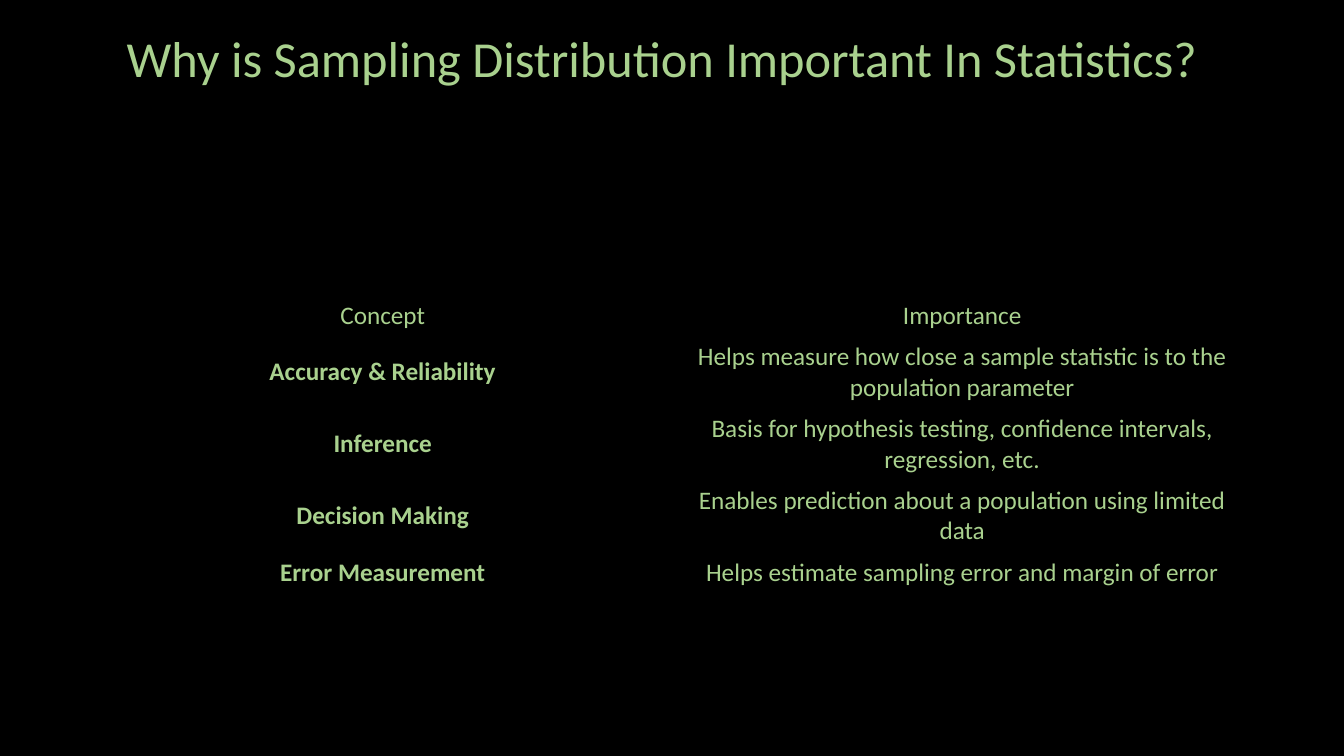
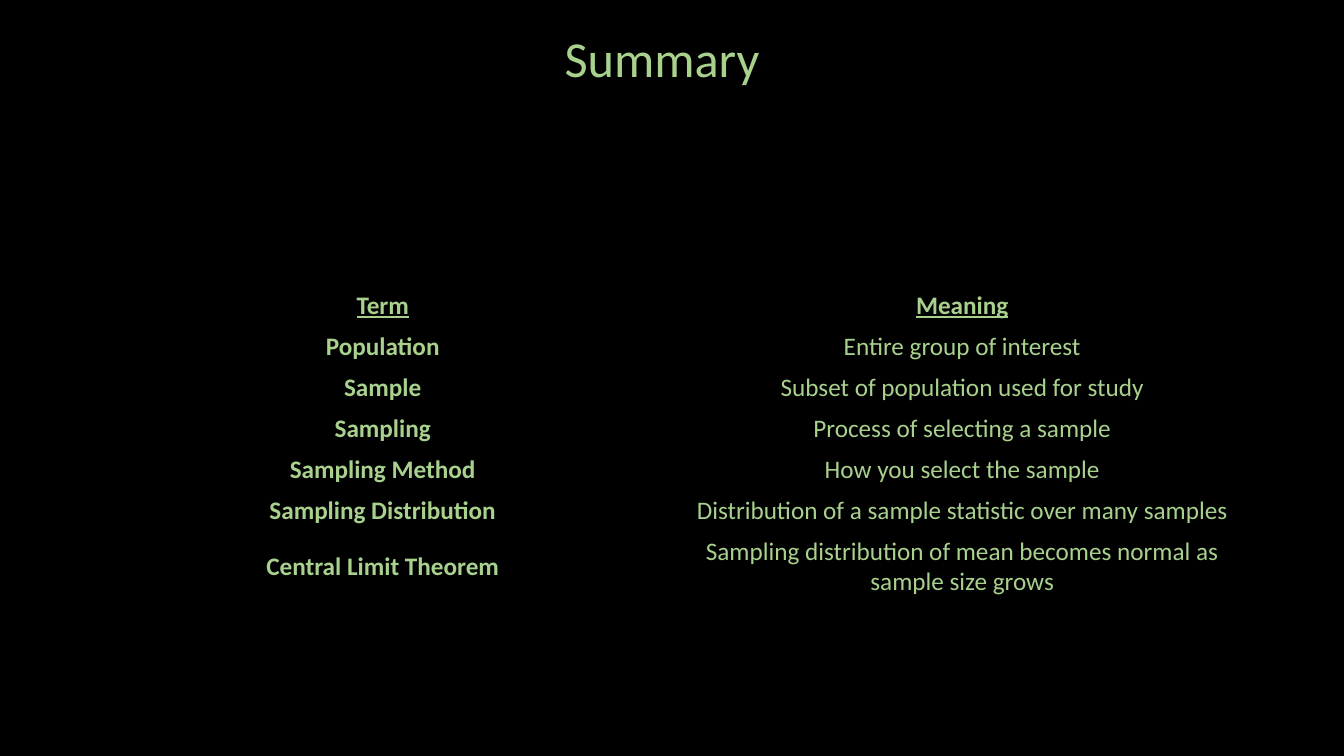
from pptx import Presentation
from pptx.dml.color import RGBColor
from pptx.enum.text import MSO_ANCHOR, PP_ALIGN
from pptx.oxml.ns import qn
from pptx.util import Pt

CENTER = PP_ALIGN.CENTER
MIDDLE = MSO_ANCHOR.MIDDLE
BLACK, GREEN = "000000", "A9D18E"
FONT = "Calibri"
NO_STYLE_NO_GRID = "{2D5ABB26-0587-4C30-8999-92F81FD0307C}"

# Layout in px
SCALE = 914400 / 100.8
PAGE_WIDTH, PAGE_HEIGHT = 1344, 756
TABLE_LEFT, TABLE_WIDTH, TABLE_MIDDLE = 93, 1159, 444
ONE_LINE, TWO_LINES = 41, 72
LINE_CAPACITY = 54  # characters that fit on one line of a cell


def px(length):
    return round(length * SCALE)


def style(para, size, bold=False, underline=False):
    para.alignment = CENTER
    para.font.name = FONT
    para.font.size = Pt(size)
    para.font.bold = bold
    para.font.underline = underline
    para.font.color.rgb = RGBColor.from_string(GREEN)


# Each page: title, emphasised header or not, table rows
PAGES = [
    ("Why is Sampling Distribution Important In Statistics?", False, [
        ("Concept", "Importance"),
        ("Accuracy & Reliability",
         "Helps measure how close a sample statistic is to the population parameter"),
        ("Inference",
         "Basis for hypothesis testing, confidence intervals, regression, etc."),
        ("Decision Making",
         "Enables prediction about a population using limited data"),
        ("Error Measurement",
         "Helps estimate sampling error and margin of error"),
    ]),
    ("Summary", True, [
        ("Term", "Meaning"),
        ("Population", "Entire group of interest"),
        ("Sample", "Subset of population used for study"),
        ("Sampling", "Process of selecting a sample"),
        ("Sampling Method", "How you select the sample"),
        ("Sampling Distribution",
         "Distribution of a sample statistic over many samples"),
        ("Central Limit Theorem",
         "Sampling distribution of mean becomes normal as sample size grows"),
    ]),
]

deck = Presentation()
deck.slide_width, deck.slide_height = px(PAGE_WIDTH), px(PAGE_HEIGHT)

# Shared background
background = deck.slide_master.background.fill
background.solid()
background.fore_color.rgb = RGBColor.from_string(BLACK)

for title, strong_header, rows in PAGES:
    page = deck.slides.add_slide(deck.slide_layouts[6])

    # Title
    box = page.shapes.add_textbox(px(30), px(15), px(1264), px(92))
    box.text_frame.word_wrap = True
    box.text_frame.vertical_anchor = MIDDLE
    para = box.text_frame.paragraphs[0]
    para.text = title
    para.line_spacing = 0.9
    style(para, 36)

    # Table, centred on a fixed height
    heights = [TWO_LINES if len(meaning) > LINE_CAPACITY else ONE_LINE
               for _, meaning in rows]
    total = sum(heights)
    table = page.shapes.add_table(
        len(rows), 2, px(TABLE_LEFT), px(TABLE_MIDDLE - total / 2),
        px(TABLE_WIDTH), px(total)).table
    table.first_row = table.horz_banding = False
    table._tbl.tblPr.find(qn("a:tableStyleId")).text = NO_STYLE_NO_GRID

    for row_index, texts in enumerate(rows):
        table.rows[row_index].height = px(heights[row_index])
        is_header = row_index == 0
        for column, text in enumerate(texts):
            cell = table.cell(row_index, column)
            cell.fill.background()
            cell.vertical_anchor = MIDDLE
            para = cell.text_frame.paragraphs[0]
            para.text = text
            bold = strong_header if is_header else column == 0
            style(para, 18, bold, is_header and strong_header)

deck.save("out.pptx")
